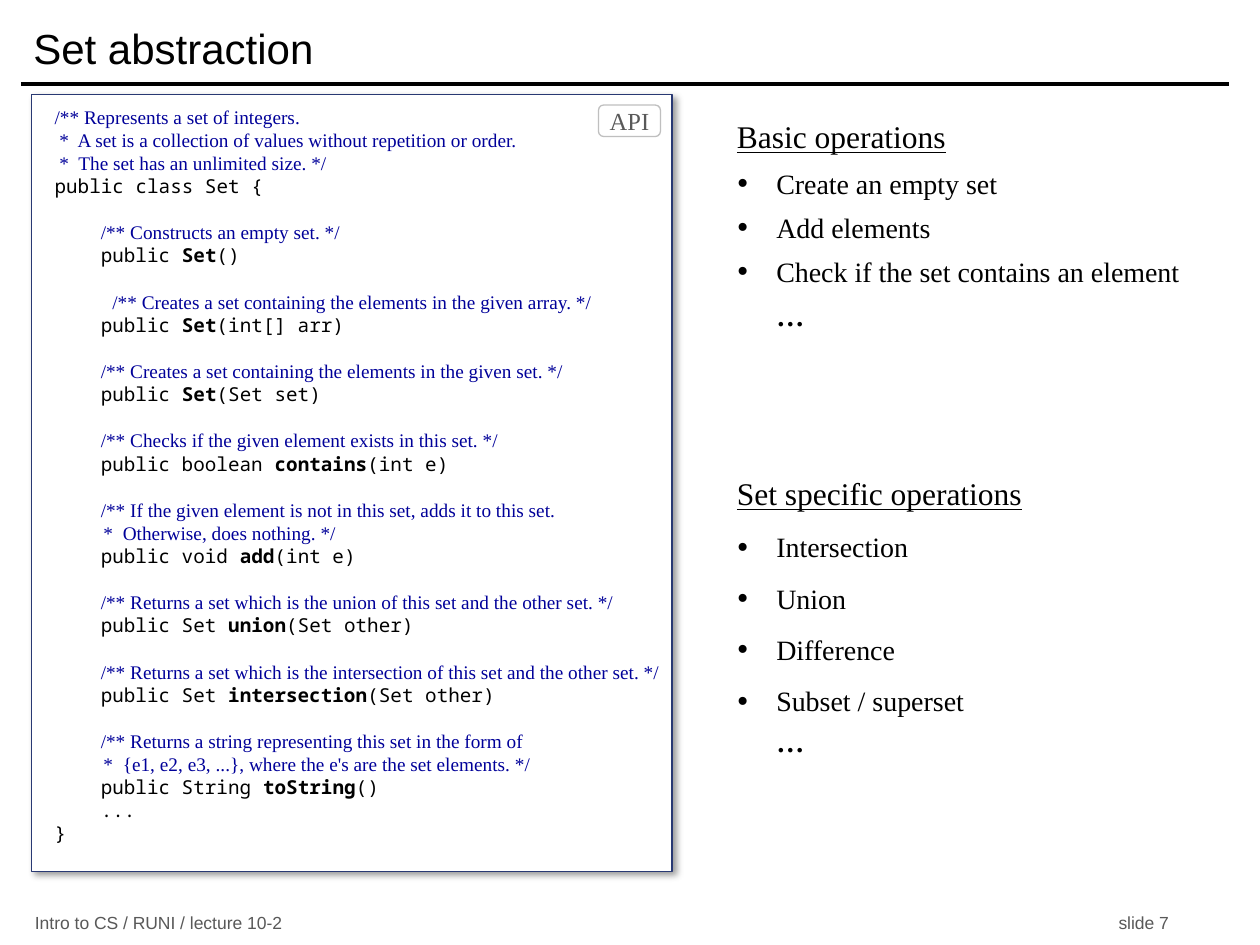
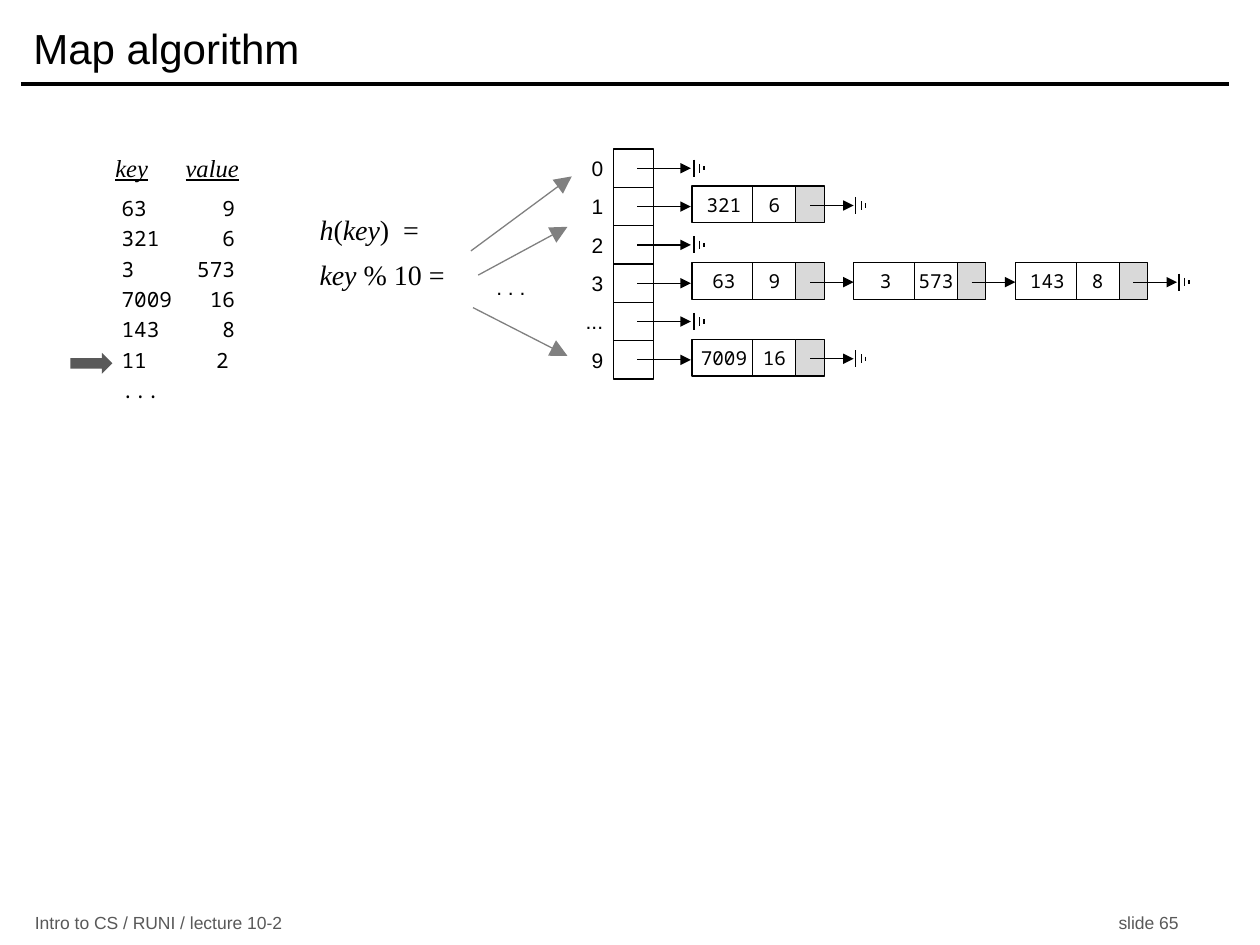
from dataclasses import dataclass
from lxml import etree
from pptx import Presentation
from pptx.dml.color import RGBColor
from pptx.enum.shapes import MSO_CONNECTOR, MSO_SHAPE
from pptx.enum.text import MSO_ANCHOR, PP_ALIGN
from pptx.oxml.ns import qn
from pptx.util import Inches, Pt

RECT, ROUND, ARROW = MSO_SHAPE.RECTANGLE, MSO_SHAPE.ROUNDED_RECTANGLE, MSO_SHAPE.RIGHT_ARROW
STRAIGHT = MSO_CONNECTOR.STRAIGHT
TOP, MIDDLE = MSO_ANCHOR.TOP, MSO_ANCHOR.MIDDLE
LEFT, CENTER, RIGHT = PP_ALIGN.LEFT, PP_ALIGN.CENTER, PP_ALIGN.RIGHT
COLS, ROWS = 120, 90
UNIT = Inches(10) / COLS


@dataclass(frozen=True)
class Theme:
    """Colours, fonts and type sizes."""
    ink: str = "000000"
    paper: str = "FFFFFF"
    comment: str = "000099"
    frame: str = "293973"
    muted: str = "595959"
    tag: str = "BFBFBF"
    pointer: str = "D9D9D9"
    fan: str = "808080"
    sans: str = "Arial"
    serif: str = "Times New Roman"
    mono: str = "Noto Sans Mono"
    title: int = 24
    heading: int = 18
    body: int = 16
    label: int = 14
    data: int = 12
    code: int = 11
    foot: int = 10
    leading: float = 1.2


T = Theme()


@dataclass(frozen=True)
class Box:
    """A rectangle in grid columns and rows."""
    x: float
    y: float
    w: float
    h: float

    def sub(self, dx, dy, w, h):
        """Return a box placed relative to this one."""
        return Box(self.x + dx, self.y + dy, w, h)

    def emu(self):
        """Return left, top, width and height in EMU."""
        return [round(v * UNIT) for v in (self.x, self.y, self.w, self.h)]


def rgb(color):
    """Turn a hex string into a colour."""
    return RGBColor.from_string(color)


def frame(sp, anchor=TOP, ins=(1.2, 0.6, 1.2, 0.6)):
    """Set wrapping, anchor and insets, and return the text frame."""
    tf = sp.text_frame
    tf.word_wrap, tf.vertical_anchor = True, anchor
    tf.margin_left, tf.margin_top, tf.margin_right, tf.margin_bottom = [round(v * UNIT) for v in ins]
    return tf


def text(s, box, anchor=TOP, **kw):
    """Add a text box and return its frame."""
    return frame(s.shapes.add_textbox(*box.emu()), anchor, **kw)


def para(tf, before=0, spacing=None, align=LEFT):
    """Return the next paragraph, using the empty first one first."""
    p = tf.paragraphs[0]
    if p.runs:
        p = tf.add_paragraph()
    p.alignment, p.space_before = align, Pt(before)
    if spacing:
        p.line_spacing = spacing
    return p


def run(p, words, size, font, color=T.ink, **style):
    """Add one run with its font."""
    r = p.add_run()
    r.text = words
    r.font.size, r.font.name, r.font.color.rgb = Pt(size), font, rgb(color)
    for key, value in style.items():
        setattr(r.font, key, value)


def indent(p, left, first=0):
    """Indent a paragraph by grid columns."""
    pPr = p._p.get_or_add_pPr()
    pPr.set("marL", str(round(left * UNIT)))
    pPr.set("indent", str(round(first * UNIT)))
    return pPr


def bullet(p):
    """Give a paragraph a round bullet at 120 percent."""
    pPr = p._p.get_or_add_pPr()
    clr = etree.SubElement(pPr, qn("a:buClr"))
    etree.SubElement(clr, qn("a:srgbClr"), val=T.ink)
    etree.SubElement(pPr, qn("a:buSzPct"), val="120000")
    etree.SubElement(pPr, qn("a:buFont"), typeface=T.serif)
    etree.SubElement(pPr, qn("a:buChar"), char="•")


def tab(p, pos, algn="l"):
    """Add one tab stop at a grid column."""
    tabs = etree.SubElement(p._p.get_or_add_pPr(), qn("a:tabLst"))
    etree.SubElement(tabs, qn("a:tab"), pos=str(round(pos * UNIT)), algn=algn)


def shape(s, kind, box, fill=None, line=None):
    """Add a flat preset shape."""
    sp = s.shapes.add_shape(kind, *box.emu())
    sp.shadow.inherit = False
    if fill:
        sp.fill.solid()
        sp.fill.fore_color.rgb = rgb(fill)
    else:
        sp.fill.background()
    if line:
        sp.line.color.rgb, sp.line.width = rgb(line), Pt(0.75)
    else:
        sp.line.fill.background()
    return sp


def line(s, x1, y1, x2, y2, color=T.ink, width=0.75, head=None):
    """Add a straight line, with an arrowhead of the given size if any."""
    c = s.shapes.add_connector(STRAIGHT, *[round(v * UNIT) for v in (x1, y1, x2, y2)])
    c.line.color.rgb, c.line.width = rgb(color), Pt(width)
    if head:
        etree.SubElement(c.line._get_or_add_ln(), qn("a:tailEnd"), type="triangle", w=head, len=head)
    etree.SubElement(c._element.spPr, qn("a:effectLst"))


def new_slide(prs, title, number):
    """Add a blank slide with title, rule and footer."""
    s = prs.slides.add_slide(prs.slide_layouts[6])
    line(s, 2, 8, 117, 8, width=2)
    p = para(text(s, Box(2, 1, 115, 7), MIDDLE))
    run(p, title, T.title, T.sans)
    p = para(text(s, Box(2.15, 86.75, 113, 2.3), MIDDLE))
    tab(p, 103.2)
    run(p, f"Intro to CS / RUNI / lecture 10-2\tslide {number}", T.foot, T.sans, T.muted)
    return s


def code_line(tf, pieces, level=0, gap=False):
    """Add one code line from (words, font, colour, bold) pieces."""
    pitch = T.code * T.leading
    p = para(tf, pitch if gap else 0, Pt(pitch))
    indent(p, level)
    for words, font, color, bold in pieces:
        run(p, words, T.code, font, color, bold=bold)


def api_panel(s, box, intro, opening, members):
    """Draw the framed class listing with its tag."""
    sp = shape(s, RECT, box, T.paper, T.frame)
    fx = sp._element.spPr.find(qn("a:effectLst"))
    shadow = etree.SubElement(fx, qn("a:outerShdw"), blurRad=str(Pt(4)), dist=str(Pt(3)), dir="2700000")
    clr = etree.SubElement(shadow, qn("a:srgbClr"), val=T.ink)
    etree.SubElement(clr, qn("a:alpha"), val="40000")
    tf = frame(sp, ins=(2.2, 1, 0, 0))

    def comment(words):
        return [(words, T.serif, T.comment, False)]

    def code(words, bold=False):
        return (words, T.mono, T.ink, bold)

    for words in intro:
        code_line(tf, comment(words))
    code_line(tf, [code(opening)])
    for level, notes, before, name, after in members:
        for i, words in enumerate(notes):
            code_line(tf, comment(words), level if i == 0 else 4.2, gap=i == 0)
        code_line(tf, [code(before), code(name, True), code(after)], 4.4)
    code_line(tf, [code("...")], 4.4)
    code_line(tf, [code("}")])
    sp = shape(s, ROUND, box.sub(54, 1, 5.9, 3), T.paper, T.tag)
    p = para(frame(sp, MIDDLE, ins=(0, 0, 0, 0)), align=CENTER)
    run(p, "API", T.label, T.serif, T.muted)


def operations(s, box, heading, items, before, spacing):
    """Draw an underlined heading with bullets and a closing ellipsis."""
    tf = text(s, box)
    run(para(tf, spacing=0.9), heading, T.heading, T.serif, underline=True)
    for item in items:
        p = para(tf, before, spacing)
        indent(p, 3.75, -3.75)
        bullet(p)
        run(p, item, T.body, T.serif)
    p = para(tf, 6, spacing)
    indent(p, 3.75)
    run(p, "…", T.body, T.serif, bold=True)


def key_values(s, box, rows, marked):
    """Draw the key and value columns, with an arrow at the marked row."""
    p = para(text(s, box.sub(-0.6, 0, 38, 4)), spacing=0.8)
    tab(p, 6.7)
    for words, under in (("key", True), ("\t", False), ("value", True)):
        run(p, words, T.label, T.serif, italic=True, underline=under)
    tf = text(s, box.sub(0, 3.5, 31.6, 29.3))
    for i, (key, value) in enumerate(rows):
        p = para(tf, 3 if i else 0, Pt(T.data * T.leading))
        tab(p, 10.2 if i == marked else 10.8, "r")
        run(p, f"{key}\t{value}", T.data, T.mono)
    run(para(tf, 3, Pt(T.data * T.leading)), "...", T.data, T.mono)
    shape(s, ARROW, box.sub(-3.7, 4.6 + 2.9 * marked, 4, 2), T.muted)


def hash_fan(s, box):
    """Draw the hash formula and the arrows that leave it."""
    tf = text(s, box)
    lines = ([("h", True), ("(", False), ("key", True), (")  =", False)], [("key", True), (" % 10 =", False)])
    for i, pieces in enumerate(lines):
        p = para(tf, 6 * i)
        for words, slanted in pieces:
            run(p, words, T.body, T.serif, italic=slanted)
    for x1, y1, x2, y2 in ((15.6, 4.2, 25.2, -2.9), (16.3, 6.5, 24.8, 1.9), (15.8, 9.6, 24.8, 14.2)):
        line(s, box.x + x1, box.y + y1, box.x + x2, box.y + y2, T.fan, head="lg")
    tf = text(s, box.sub(15.8, 5.9, 6, 3.6), ins=(0, 0.6, 1, 0.6))
    run(para(tf, align=RIGHT), ". . .", T.data, T.sans)


def ground(s, x, y):
    """Draw the three shrinking bars that end a chain."""
    for dx, half in ((0, 0.82), (0.53, 0.41), (0.95, 0.2)):
        line(s, x + dx, y - half, x + dx, y + half)


def cell(s, box, words, fill=None):
    """Draw one outlined node cell with centred text."""
    sp = shape(s, RECT, box, fill, T.ink)
    if words:
        p = para(frame(sp, MIDDLE, ins=(0, 0, 0, 0)), align=CENTER)
        run(p, words, T.code, T.mono)


def node(s, box, key, value):
    """Draw a key, value and pointer node with its outgoing arrow."""
    cell(s, box.sub(0, 0, 6.1, box.h), key)
    cell(s, box.sub(9.85, 0, 2.75, box.h), "", T.pointer)
    mid = box.y + box.h / 2 + 0.1
    line(s, box.x + 11.25, mid, box.x + box.w, mid, head="med")
    cell(s, box.sub(5.8, 0, 4.1, box.h), value, T.paper)


def hash_table(s, box, buckets):
    """Draw the bucket array and the chain of each bucket."""
    pitch, step = box.h / len(buckets), 15.4
    for i, (label, chain) in enumerate(buckets):
        y = i * pitch
        tf = text(s, box.sub(0, y, 6, pitch), MIDDLE, ins=(0, 0, 0.95, 0))
        run(para(tf, align=RIGHT), label, T.data, T.sans)
        cell(s, box.sub(6, y, 3.85, pitch), "")
        mid, start = box.y + y + pitch / 2, box.x + 13.5
        line(s, box.x + 8.3, mid, start - 0.1, mid, head="med")
        for j, (key, value) in enumerate(chain):
            node(s, Box(start + j * step, mid - 1.95, step, 3.5), key, value)
        ground(s, start + len(chain) * step + 0.2, mid - (0.1 if chain else 0))


def set_slide(prs):
    """Build the slide on the set abstraction."""
    s = new_slide(prs, "Set abstraction", 7)
    api_panel(s, Box(3, 9, 61, 74), (
        "/** Represents a set of integers.",
        " *  A set is a collection of values without repetition or order.",
        " *  The set has an unlimited size. */"), "public class Set {", (
        (4.4, ["/** Constructs an empty set. */"], "public ", "Set", "()"),
        (5.5, ["/** Creates a set containing the elements in the given array. */"],
         "public ", "Set", "(int[] arr)"),
        (4.4, ["/** Creates a set containing the elements in the given set. */"],
         "public ", "Set", "(Set set)"),
        (4.4, ["/** Checks if the given element exists in this set. */"],
         "public boolean ", "contains", "(int e)"),
        (4.4, ["/** If the given element is not in this set, adds it to this set.",
               " *  Otherwise, does nothing. */"], "public void ", "add", "(int e)"),
        (4.4, ["/** Returns a set which is the union of this set and the other set. */"],
         "public Set ", "union", "(Set other)"),
        (4.4, ["/** Returns a set which is the intersection of this set and the other set. */"],
         "public Set ", "intersection", "(Set other)"),
        (4.4, ["/** Returns a string representing this set in the form of",
               " *  {e1, e2, e3, ...}, where the e's are the set elements. */"],
         "public String ", "toString", "()")))
    operations(s, Box(69, 11, 46, 30), "Basic operations", (
        "Create an empty set", "Add elements", "Check if the set contains an element"), 6, 1.0)
    operations(s, Box(69, 45, 32, 25), "Set specific operations", (
        "Intersection", "Union", "Difference", "Subset / superset"), 12, 0.9)


def map_slide(prs):
    """Build the slide on the map algorithm."""
    s = new_slide(prs, "Map algorithm", 65)
    key_values(s, Box(10.4, 14.5, 38, 33), (
        ("63", "9"), ("321", "6"), ("3", "573"), ("7009", "16"), ("143", "8"), ("11", "2")), 5)
    hash_fan(s, Box(29.25, 19.7, 15, 8.7))
    hash_table(s, Box(52.4, 14.2, 62, 21.9), (
        ("0", ()), ("1", (("321", "6"),)), ("2", ()),
        ("3", (("63", "9"), ("3", "573"), ("143", "8"))),
        ("...", ()), ("9", (("7009", "16"),))))


def main():
    """Build the presentation and save it."""
    prs = Presentation()
    prs.slide_width, prs.slide_height = round(COLS * UNIT), round(ROWS * UNIT)
    set_slide(prs)
    map_slide(prs)
    prs.save("out.pptx")


if __name__ == "__main__":
    main()
